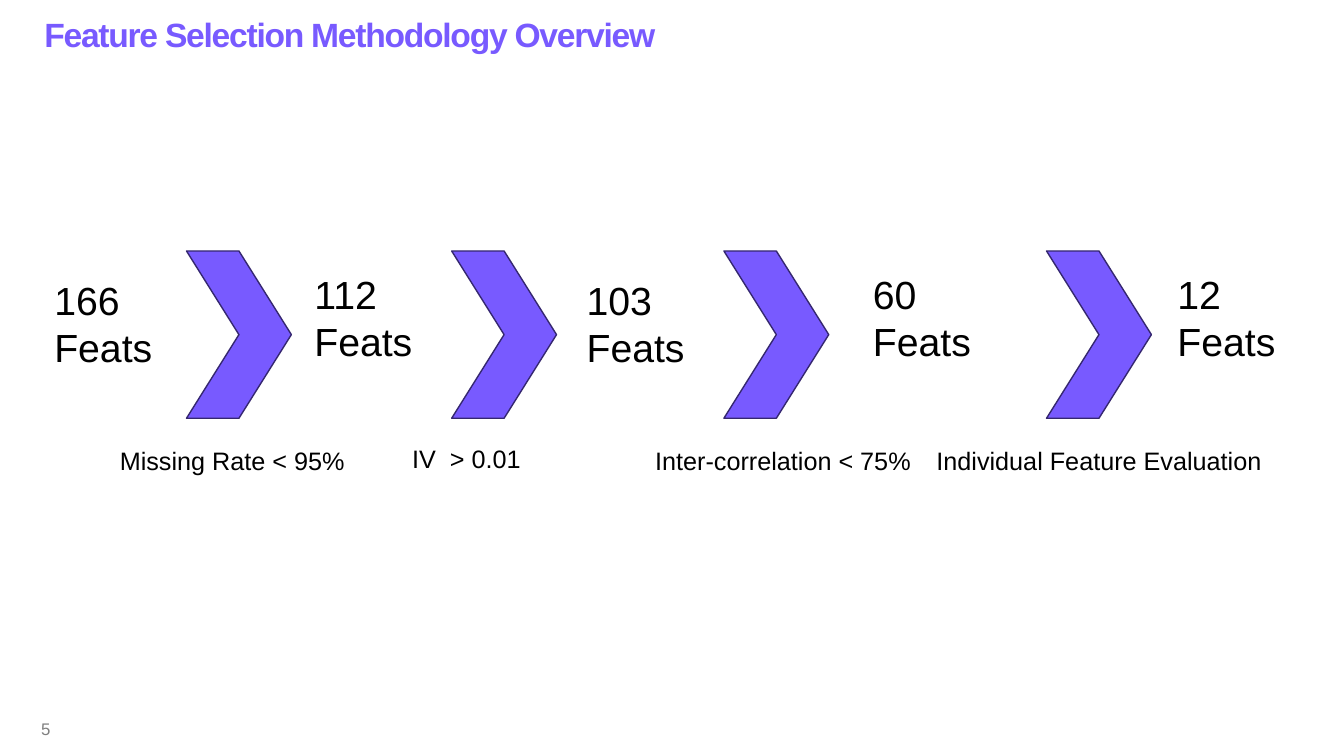
from dataclasses import dataclass

from pptx import Presentation
from pptx.dml.color import RGBColor
from pptx.enum.shapes import MSO_SHAPE
from pptx.enum.text import MSO_ANCHOR, MSO_AUTO_SIZE, PP_ALIGN
from pptx.util import Inches, Pt


@dataclass(frozen=True)
class Theme:
    font: str = "Arial"
    accent: RGBColor = RGBColor(0x78, 0x5A, 0xFF)
    outline: RGBColor = RGBColor(0x35, 0x27, 0x70)
    text: RGBColor = RGBColor(0, 0, 0)
    muted: RGBColor = RGBColor(0x80, 0x80, 0x80)
    title_size: int = 24
    count_size: int = 28
    rule_size: int = 18
    number_size: int = 12


THEME = Theme()

# Feature count left at each stage: text, left and top within the flow
STAGES = [
    ("166", 0, 0.2),
    ("112", 2.58, 0.14),
    ("103", 5.28, 0.2),
    ("60", 8.12, 0.14),
    ("12", 11.14, 0.14),
]
CHEVRON_LEFTS = [1.41, 4.04, 6.74, 9.94]
# Filter rule under each chevron: text, left, top, width, alignment
RULES = [
    ("Missing Rate < 95%", 0.65, 1.88, 2.72, PP_ALIGN.LEFT),
    ("IV  > 0.01", 3.55, 1.86, 2.91, PP_ALIGN.LEFT),
    ("Inter-correlation < 75%", 5.96, 1.88, 3.24, PP_ALIGN.LEFT),
    ("Individual Feature Evaluation", 8.74, 1.88, 3.44, PP_ALIGN.CENTER),
]


def format_text(text_frame, size, color, alignment=PP_ALIGN.LEFT, bold=False):
    text_frame.word_wrap = True
    for paragraph in text_frame.paragraphs:
        paragraph.alignment = alignment
        for run in paragraph.runs:
            run.font.name = THEME.font
            run.font.size = Pt(size)
            run.font.bold = bold
            run.font.color.rgb = color


def add_text(slide, text, left, top, width, height, size,
             color=THEME.text, alignment=PP_ALIGN.LEFT):
    box = slide.shapes.add_textbox(
        Inches(left), Inches(top), Inches(width), Inches(height))
    box.text_frame.text = text
    format_text(box.text_frame, size, color, alignment)
    return box.text_frame


def set_title(slide, text, left, top, width, height):
    title = slide.shapes.title
    title.left, title.top = Inches(left), Inches(top)
    title.width, title.height = Inches(width), Inches(height)
    text_frame = title.text_frame
    text_frame.text = text
    text_frame.auto_size = MSO_AUTO_SIZE.NONE
    text_frame.vertical_anchor = MSO_ANCHOR.TOP
    text_frame.margin_left = text_frame.margin_right = 0
    text_frame.margin_top = text_frame.margin_bottom = Inches(0.1)
    format_text(text_frame, THEME.title_size, THEME.accent, bold=True)
    paragraph = text_frame.paragraphs[0]
    paragraph.line_spacing = 1.1
    paragraph.space_before = Pt(0)
    # Letter spacing in hundredths of a point
    paragraph.runs[0].font._element.set("spc", "-90")


def add_chevron(slide, left, top):
    chevron = slide.shapes.add_shape(
        MSO_SHAPE.CHEVRON, Inches(left), Inches(top), Inches(1.04), Inches(1.66))
    chevron.shadow.inherit = False
    chevron.fill.solid()
    chevron.fill.fore_color.rgb = THEME.accent
    chevron.line.color.rgb = THEME.outline
    chevron.line.width = Pt(1)


def add_selection_flow(slide, left, top):
    """Place feature counts, the chevrons between them and the filter rules."""
    for text, x, y, width, alignment in RULES:
        add_text(slide, text, left + x, top + y, width, 0.4,
                 THEME.rule_size, alignment=alignment)
    for x in CHEVRON_LEFTS:
        add_chevron(slide, left + x, top)
    for count, x, y in STAGES:
        add_text(slide, f"{count}\nFeats", left + x, top + y, 1.59, 1.04,
                 THEME.count_size)


def add_page_number(slide, number, left, top):
    text_frame = add_text(slide, number, left, top, 3, 0.4,
                          THEME.number_size, THEME.muted)
    text_frame.vertical_anchor = MSO_ANCHOR.MIDDLE
    text_frame.paragraphs[0].space_after = Pt(6)


def main():
    presentation = Presentation()
    presentation.slide_width = Inches(13.33)
    presentation.slide_height = Inches(7.5)
    title_only = presentation.slide_layouts.get_by_name("Title Only")
    slide = presentation.slides.add_slide(title_only)
    set_title(slide, "Feature Selection Methodology Overview", 0.44, 0, 12.48, 0.92)
    add_selection_flow(slide, 0.44, 2.49)
    add_page_number(slide, "5", 0.31, 7.03)
    presentation.save("out.pptx")


if __name__ == "__main__":
    main()
